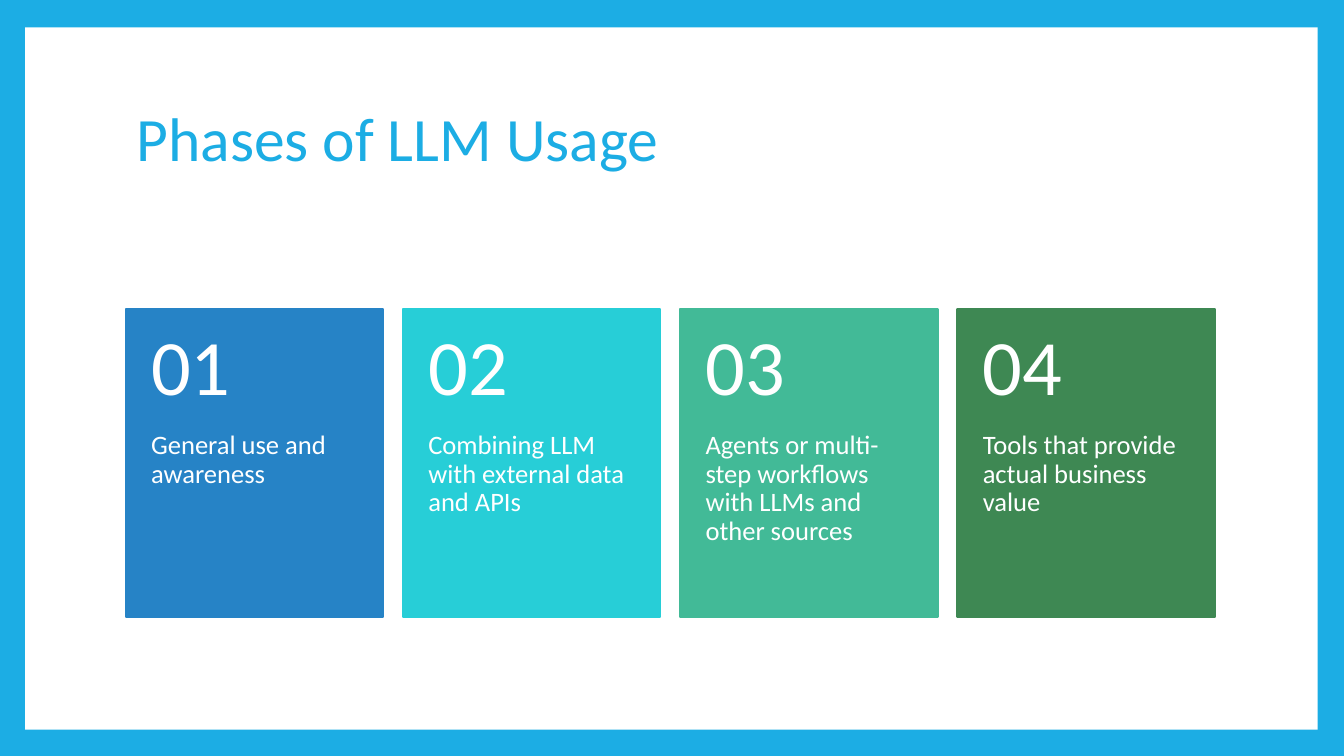
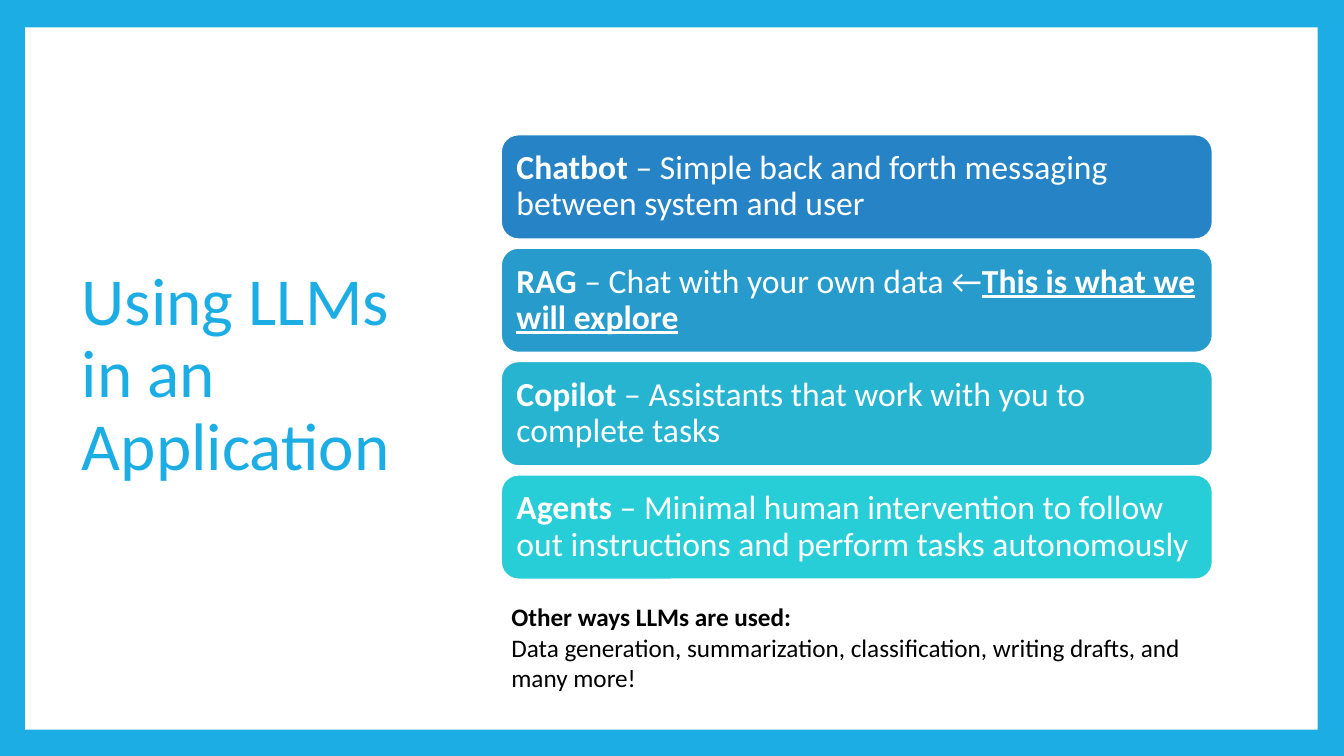
from dataclasses import dataclass

from pptx import Presentation
from pptx.dml.color import RGBColor as Rgb
from pptx.enum.shapes import MSO_SHAPE as Kind
from pptx.enum.text import MSO_ANCHOR as Anchor
from pptx.enum.text import MSO_AUTO_SIZE as Fit
from pptx.enum.text import PP_ALIGN as Align
from pptx.util import Emu, Pt


@dataclass(frozen=True)
class Theme:
    font: str = "Calibri"
    sky: str = "1CADE4"
    white: str = "FFFFFF"
    black: str = "000000"
    cards: tuple = ("2683C6", "27CED7", "42BA97", "3E8853")
    bars: tuple = ("2683C6", "269BCC", "27B4D1", "27CED7")
    head: int = 44
    side: int = 48
    count: int = 56
    body: int = 19
    bar: int = 24
    note: int = 18
    edge: float = 1.5
    tight: float = 0.9


LOOK = Theme()
BOLD = {"bold": True}
STRESS = {"bold": True, "underline": True}

PHASES = (
    "General use and awareness",
    "Combining LLM with external data and APIs",
    "Agents or multi-step workflows with LLMs and other sources",
    "Tools that provide actual business value",
)
USES = (
    (("Chatbot", BOLD),
     (" – Simple back and forth messaging between system and user", {})),
    (("RAG", BOLD), (" – Chat with your own data ←", {}),
     ("This is what we will explore", STRESS)),
    (("Copilot", BOLD),
     (" – Assistants that work with you to complete tasks", {})),
    (("Agents", BOLD),
     (" – Minimal human intervention to follow out instructions "
      "and perform tasks autonomously", {})),
)
NOTE = (
    (("Other ways LLMs are used:", BOLD),),
    (("Data generation, summarization, classification, writing drafts, "
      "and many more!", {}),),
)


def px(n):
    return Emu(n * 9525)


def put(item, form):
    for name, value in form.items():
        setattr(item, name, value)


def write(shape, paras, size, color, pad=(10, 5, 10, 5),
          anchor=Anchor.MIDDLE, space=LOOK.tight):
    frame = shape.text_frame
    sides = ("margin_left", "margin_top", "margin_right", "margin_bottom")
    put(frame, dict(zip(sides, map(px, pad))))
    put(frame, {"word_wrap": True, "auto_size": Fit.NONE,
                "vertical_anchor": anchor})
    for i, parts in enumerate(paras):
        para = frame.add_paragraph() if i else frame.paragraphs[0]
        put(para, {"alignment": Align.LEFT, "line_spacing": space})
        for text, form in parts:
            run = para.add_run()
            run.text = text
            put(run.font, {"name": LOOK.font, "size": Pt(size), **form})
            run.font.color.rgb = Rgb.from_string(color)


def block(slide, kind, box, fill, line=None):
    shape = slide.shapes.add_shape(kind, *map(px, box))
    shape.shadow.inherit = False
    shape.fill.solid()
    shape.fill.fore_color.rgb = Rgb.from_string(fill)
    if line:
        shape.line.color.rgb = Rgb.from_string(line)
        shape.line.width = Pt(LOOK.edge)
    else:
        shape.line.fill.background()
    return shape


def label(slide, box, paras, size, color, **form):
    shape = slide.shapes.add_textbox(*map(px, box))
    write(shape, paras, size, color, **form)


def title(slide, text, box, size):
    shape = slide.shapes.title
    put(shape, dict(zip(("left", "top", "width", "height"), map(px, box))))
    write(shape, [[(text, {})]], size, LOOK.sky)


def frame(deck, slide):
    master = deck.slide_master
    fill = master.background.fill
    fill.solid()
    fill.fore_color.rgb = Rgb.from_string(LOOK.sky)
    panel = block(slide, Kind.RECTANGLE, (24, 26, 1231, 669), LOOK.white)
    master.shapes._spTree.insert(2, panel._element)


def card(slide, i, text, fill):
    left, top, wide, high, head = 120 + 264 * i, 294, 245, 294, 117
    block(slide, Kind.RECTANGLE, (left, top, wide, high), fill, fill)
    label(slide, (left, top, wide, head), [[(f"{i + 1:02}", {})]],
          LOOK.count, LOOK.white, pad=(24, 17, 24, 17))
    label(slide, (left, top + head, wide, high - head), [[(text, {})]],
          LOOK.body, LOOK.white, pad=(24, 0, 24, 35), anchor=Anchor.TOP)


def bar(slide, i, parts, fill):
    box = (477, 128 + 108 * i, 678, 100)
    shape = block(slide, Kind.ROUNDED_RECTANGLE, box, fill, LOOK.white)
    write(shape, [parts], LOOK.bar, LOOK.white, pad=(10, 10, 10, 10))


def phases(slide):
    title(slide, "Phases of LLM Usage", (120, 64, 1037, 142), LOOK.head)
    for i, (text, fill) in enumerate(zip(PHASES, LOOK.cards)):
        card(slide, i, text, fill)


def uses(slide):
    title(slide, "Using LLMs in an Application", (68, 64, 353, 588), LOOK.side)
    for i, (parts, fill) in enumerate(zip(USES, LOOK.bars)):
        bar(slide, i, parts, fill)
    label(slide, (477, 568, 658, 126), NOTE, LOOK.note, LOOK.black,
          anchor=Anchor.TOP, space=1.0)


def main():
    deck = Presentation()
    put(deck, {"slide_width": px(1280), "slide_height": px(720)})
    plain = deck.slide_layouts.get_by_name("Title Only")
    first, second = (deck.slides.add_slide(plain) for _ in range(2))
    frame(deck, first)
    phases(first)
    uses(second)
    deck.save("out.pptx")


if __name__ == "__main__":
    main()
